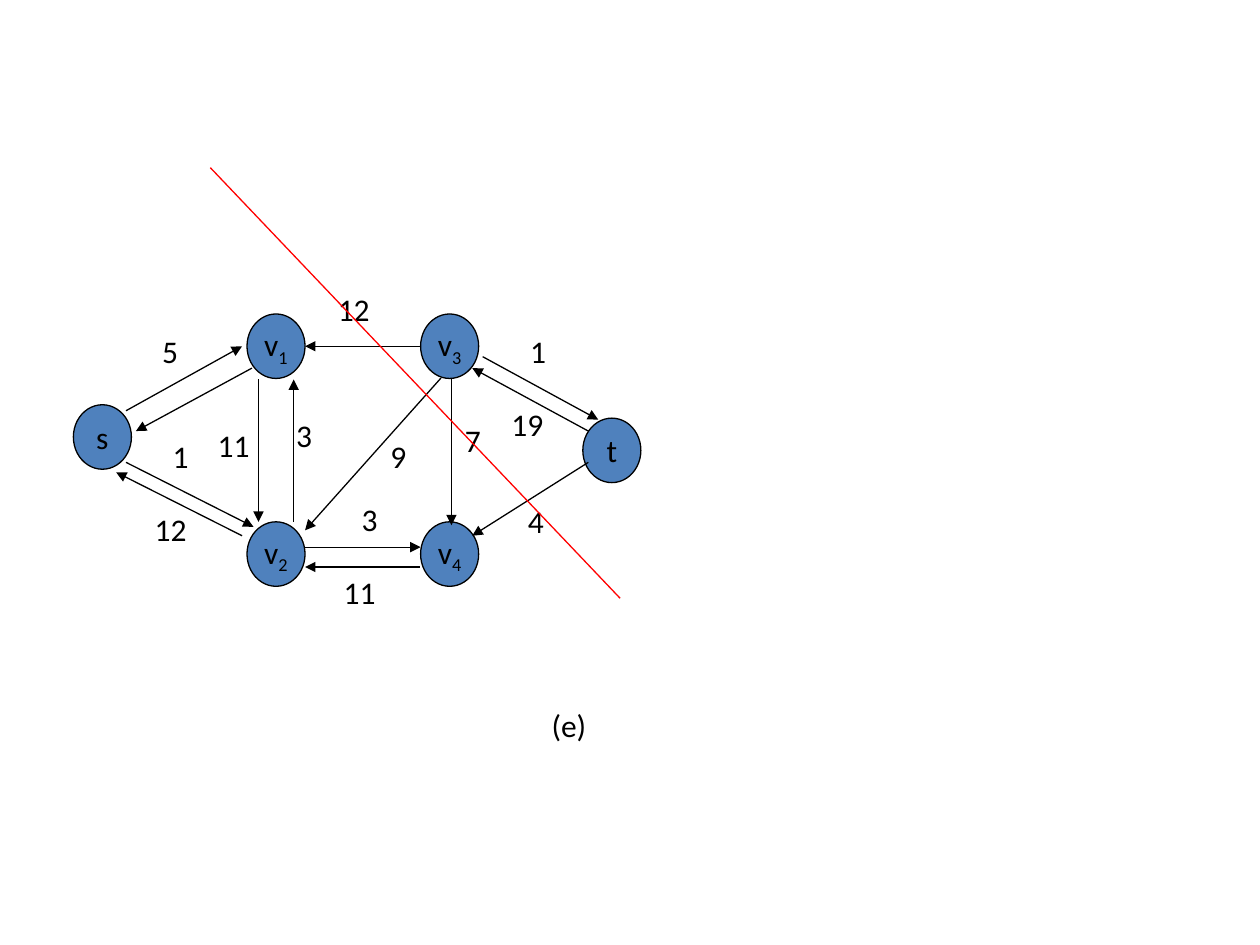
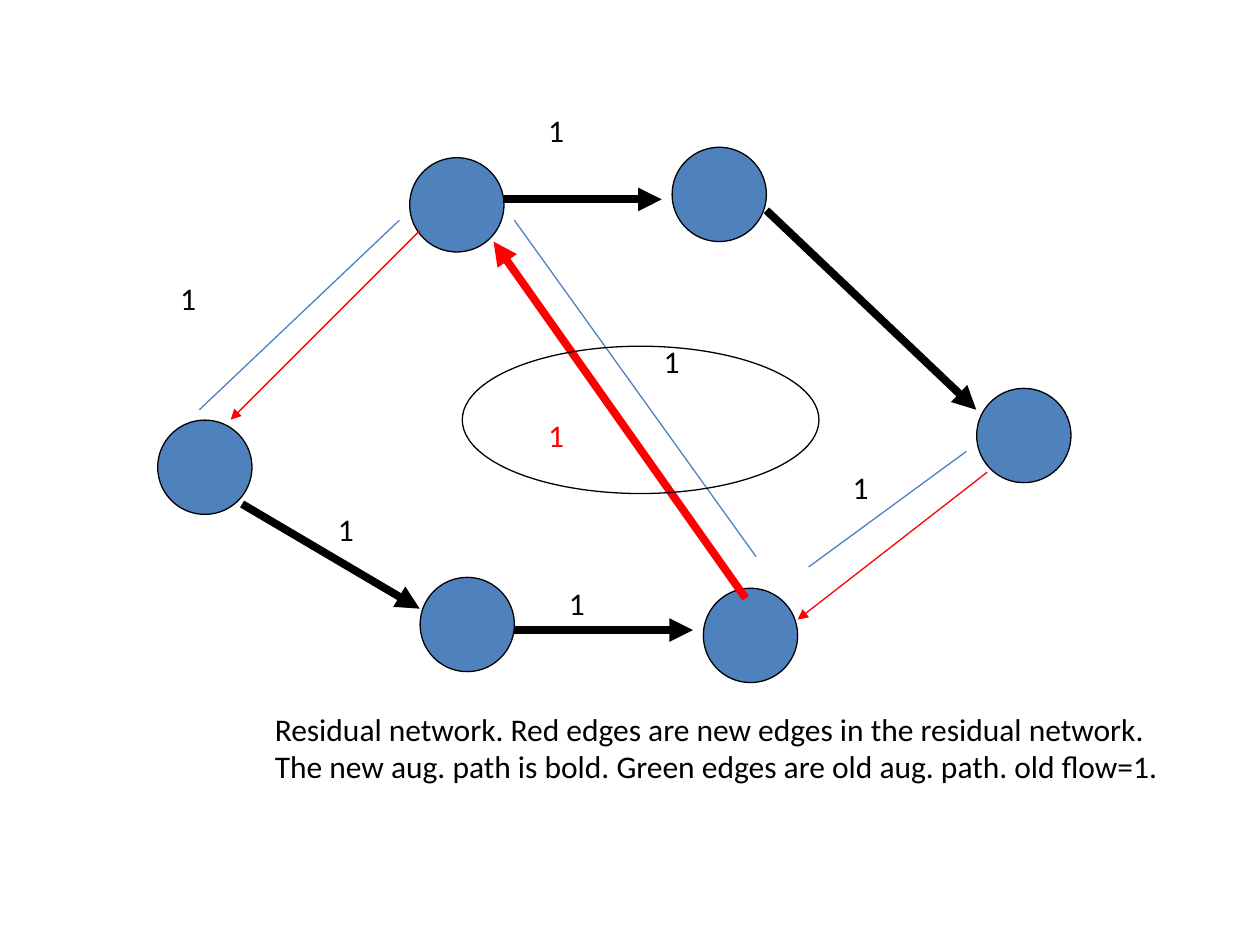
from pptx import Presentation
from pptx.dml.color import RGBColor
from pptx.enum.shapes import MSO_CONNECTOR, MSO_SHAPE
from pptx.enum.text import MSO_ANCHOR, MSO_AUTO_SIZE, PP_ALIGN
from pptx.oxml.ns import qn
from pptx.util import Cm, Pt
from lxml.etree import SubElement

# Shared style
FONT, TEXT_SIZE = "Calibri", 18
BLACK, RED, BLUE = "000000", "FF0000", "4F81BD"
THIN, BOLD = 0.75, 4.5
LABEL_H = 1.02


def color(hex_code):
    return RGBColor.from_string(hex_code)


def add_run(p, text, hex_code=BLACK, subscript=False):
    r = p.add_run()
    r.text = text
    r.font.name, r.font.size = FONT, Pt(TEXT_SIZE)
    r.font.color.rgb = color(hex_code)
    if subscript:
        r.font._element.set("baseline", "-25000")


def add_oval(slide, x, y, w, h, fill=BLUE):
    sp = slide.shapes.add_shape(MSO_SHAPE.OVAL, Cm(x), Cm(y), Cm(w), Cm(h))
    sp.shadow.inherit = False
    if fill:
        sp.fill.solid()
        sp.fill.fore_color.rgb = color(fill)
    else:
        sp.fill.background()
    sp.line.color.rgb = color(BLACK)
    sp.line.width = Pt(THIN)
    return sp


def add_vertex(slide, name, index, x, y):
    tf = add_oval(slide, x, y, 1.17, 1.3).text_frame
    tf.word_wrap = False
    tf.vertical_anchor = MSO_ANCHOR.MIDDLE
    p = tf.paragraphs[0]
    p.alignment = PP_ALIGN.CENTER
    add_run(p, name)
    if index:
        add_run(p, index, subscript=True)


def add_edge(slide, x1, y1, x2, y2, hex_code=BLACK, width=THIN, arrow=True):
    line = slide.shapes.add_connector(
        MSO_CONNECTOR.STRAIGHT, Cm(x1), Cm(y1), Cm(x2), Cm(y2))
    line.line.color.rgb = color(hex_code)
    line.line.width = Pt(width)
    if arrow:
        SubElement(line.line._get_or_add_ln(), qn("a:tailEnd"), type="triangle")
    SubElement(line._element.spPr, qn("a:effectLst"))


def add_label(slide, text, x, y, w, hex_code=BLACK, h=LABEL_H):
    tf = slide.shapes.add_textbox(Cm(x), Cm(y), Cm(w), Cm(h)).text_frame
    tf.word_wrap = True
    tf.auto_size = MSO_AUTO_SIZE.SHAPE_TO_FIT_TEXT
    add_run(tf.paragraphs[0], text, hex_code)


def build_flow_cut(slide):
    # Vertices: v1 to v4 on a grid, s and t at the sides
    left, right, top, bottom = 4.98, 8.48, 6.33, 10.52
    for vertex in [("s", "", 1.48, 8.16), ("v", "2", left, bottom),
                   ("v", "4", right, bottom), ("t", "", 11.75, 8.43),
                   ("v", "3", right, top), ("v", "1", left, top)]:
        add_vertex(slide, *vertex)

    # Residual edges
    for edge in [
        (2.54, 8.28, 4.88, 6.98),    # s to v1
        (5.08, 7.42, 2.74, 8.69),    # v1 to s
        (2.54, 9.32, 5.11, 10.62),   # s to v2
        (4.88, 10.8, 2.34, 9.52),    # v2 to s
        (5.21, 7.65, 5.21, 10.52),   # v1 to v2
        (5.92, 10.52, 5.92, 7.65),   # v2 to v1
        (8.46, 6.98, 6.15, 6.98),    # v3 to v1
        (8.89, 7.62, 6.15, 10.69),   # v3 to v2
        (9.1, 7.62, 9.1, 10.59),     # v3 to v4
        (6.15, 11.03, 8.48, 11.03),  # v2 to v4
        (8.46, 11.43, 6.15, 11.43),  # v4 to v2
        (9.73, 7.19, 12.06, 8.46),   # v3 to t
        (11.86, 8.69, 9.52, 7.42),   # t to v3
        (11.86, 9.32, 9.52, 10.8),   # t to v4
    ]:
        add_edge(slide, *edge)

    # Capacities, each box as wide as its digits
    for text, x, y in [("5", 3.02, 6.56), ("12", 2.87, 10.16),
                       ("12", 6.56, 5.72), ("11", 4.14, 8.46),
                       ("3", 5.72, 8.26), ("1", 10.44, 6.56),
                       ("4", 10.39, 9.99), ("11", 6.68, 11.43),
                       ("9", 7.62, 8.69), ("3", 7.04, 9.96),
                       ("1", 3.23, 8.69), ("19", 10.06, 8.05),
                       ("7", 9.12, 8.37)]:
        add_label(slide, text, x, y, 0.54 + 0.33 * len(text))

    # Figure letter and cut
    add_label(slide, "(e)", 10.87, 14.1, 1.3)
    add_edge(slide, 4.24, 3.38, 12.5, 12.06, RED, arrow=False)


def build_residual_network(slide):
    # Vertices
    for x, y in [(3.18, 8.47), (8.47, 11.64), (8.26, 3.18),
                 (19.69, 7.83), (14.18, 11.86), (13.55, 2.97)]:
        add_oval(slide, x, y, 1.9, 1.9)

    # New augmenting path
    for edge in [(4.88, 10.16, 8.46, 12.27), (10.16, 4.02, 13.34, 4.02),
                 (10.37, 12.7, 13.97, 12.7), (15.45, 4.24, 19.68, 8.26)]:
        add_edge(slide, *edge, width=BOLD)

    # New edges
    add_edge(slide, 8.46, 4.65, 4.65, 8.46, RED)
    add_edge(slide, 15.03, 12.06, 9.95, 4.87, RED, BOLD)
    add_edge(slide, 19.9, 9.52, 16.08, 12.49, RED)

    # Old augmenting path
    for edge in [(4.02, 8.26, 8.05, 4.44), (10.37, 4.44, 15.24, 11.22),
                 (16.3, 11.43, 19.48, 9.1)]:
        add_edge(slide, *edge, BLUE, arrow=False)

    # Capacities and caption
    for x, y, w in [(3.38, 5.51, 1.47), (13.13, 6.78, 1.47),
                    (16.94, 9.32, 1.7), (6.56, 10.16, 1.07),
                    (11.22, 11.64, 1.27), (10.8, 2.11, 2.11)]:
        add_label(slide, "1", x, y, w)
    add_label(slide, "1", 10.8, 8.26, 1.7, RED)
    add_label(slide, "Residual network. Red edges are new edges in the residual "
              "network. The new aug. path is bold. Green edges are old aug. "
              "path. old flow=1.", 5.29, 14.18, 18.62, h=1.78)

    # Ring around the reversed edge
    add_oval(slide, 9.32, 6.98, 7.19, 2.97, fill=None)


def main():
    prs = Presentation()
    prs.slide_width, prs.slide_height = Cm(25.4), Cm(19.05)
    blank = prs.slide_layouts[6]
    for build in (build_flow_cut, build_residual_network):
        build(prs.slides.add_slide(blank))
    prs.save("out.pptx")


if __name__ == "__main__":
    main()
